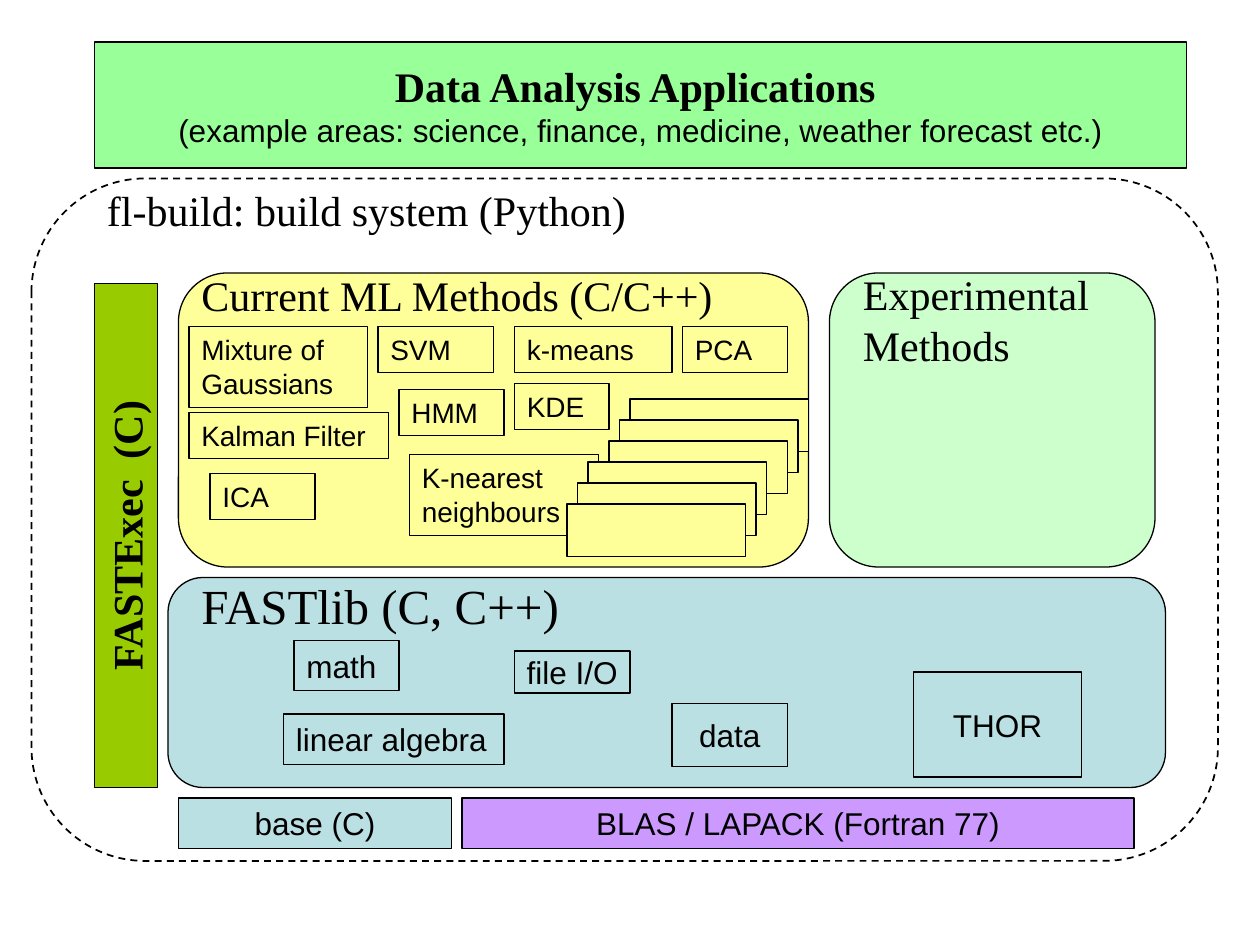
from lxml import etree
from pptx import Presentation, util as u
from pptx.dml.color import RGBColor
from pptx.enum import dml, shapes, text
from pptx.oxml.ns import qn

BLACK = RGBColor(0x00, 0x00, 0x00)
BLUE = RGBColor(0xBB, 0xE0, 0xE3)
YELLOW = RGBColor(0xFF, 0xFF, 0x99)
MINT = RGBColor(0xCC, 0xFF, 0xCC)
GREEN = RGBColor(0x99, 0xFF, 0x99)
OLIVE = RGBColor(0x99, 0xCC, 0x00)
PURPLE = RGBColor(0xCC, 0x99, 0xFF)

CELL = u.Inches(1) / 12
KIND = shapes.MSO_SHAPE
LEFT, CENTER = text.PP_ALIGN.LEFT, text.PP_ALIGN.CENTER
TOP, MIDDLE = text.MSO_ANCHOR.TOP, text.MSO_ANCHOR.MIDDLE
SERIF, SANS = "Times New Roman", "Arial"
INSET = {"margin_left": u.Inches(0.1), "margin_right": u.Inches(0.1),
         "margin_top": u.Inches(0.05), "margin_bottom": u.Inches(0.05)}


def put(item, **form):
    """Set each attribute of an item from the format values."""
    for name, value in form.items():
        setattr(item, name, value)


def place(box, x, y, w, h):
    """Turn cells relative to a box into slide lengths."""
    return [u.Emu(round(n * CELL)) for n in (box[0] + x, box[1] + y, w, h)]


def write(frame, lines, align=LEFT, anchor=TOP, wrap=True):
    """Fill a text frame with lines of (words, size, font, bold)."""
    put(frame, word_wrap=wrap, auto_size=text.MSO_AUTO_SIZE.NONE,
        vertical_anchor=anchor, **INSET)
    for i, (words, size, font, bold) in enumerate(lines):
        para = frame.add_paragraph() if i else frame.paragraphs[0]
        para.alignment = align
        run = para.add_run()
        run.text = words
        put(run.font, size=u.Pt(size), name=font, bold=bold)
        run.font.color.rgb = BLACK


def paint(shape, fill, width=0.75):
    """Give a shape its fill and a black line."""
    if fill is None:
        shape.fill.background()
    else:
        shape.fill.solid()
        shape.fill.fore_color.rgb = fill
    shape.line.color.rgb = BLACK
    shape.line.width = u.Pt(width)


def block(slide, box, cells, fill, kind=KIND.RECTANGLE, width=0.75):
    """Draw an outlined shape at cells of a box."""
    shape = slide.shapes.add_shape(kind, *place(box, *cells))
    shape.shadow.inherit = False
    paint(shape, fill, width)
    return shape


def panel(slide, box, fill, width=0.75):
    """Draw a rounded panel that covers a box."""
    return block(slide, box, (0, 0, *box[2:]), fill, KIND.ROUNDED_RECTANGLE, width)


def label(slide, box, cells, words, size):
    """Write a serif heading at cells of a box."""
    area = slide.shapes.add_textbox(*place(box, *cells))
    write(area.text_frame, [(words, size, SERIF, False)])


def apps(slide, box):
    """Shape the title into the applications banner."""
    title = slide.shapes.title
    put(title, **dict(zip(("left", "top", "width", "height"),
                          place(box, 0, 0, *box[2:]))))
    geom = etree.SubElement(title._element.spPr, qn("a:prstGeom"),
                            prst="flowChartAlternateProcess")
    etree.SubElement(geom, qn("a:avLst"))
    paint(title, GREEN)
    areas = "(example areas: science, finance, medicine, weather forecast etc.)"
    write(title.text_frame, [("Data Analysis Applications ", 24, SERIF, True),
                             (areas, 18, SANS, False)], CENTER, MIDDLE, False)


def system(slide, box):
    """Draw the dashed build system frame and its heading."""
    frame = panel(slide, box, None, 1)
    frame.line.dash_style = dml.MSO_LINE.DASH
    label(slide, box, (6, 0, 52, 10.8), "fl-build: build system (Python)", 24)


def runner(slide, box):
    """Draw the upright bar, turned about the centre of its box."""
    w, h = box[2:]
    bar = block(slide, box, ((w - h) / 2, (h - w) / 2, h, w), OLIVE)
    bar.rotation = 270
    write(bar.text_frame, [("FASTExec  (C)", 24, SERIF, True)], CENTER)


def methods(slide, box):
    """Draw the current methods with their chips and a stack of cards."""
    panel(slide, box, YELLOW)
    label(slide, box, (1, -0.9, 54, 10.8), "Current ML Methods (C/C++)", 24)
    one, two = 4.4, 7.7
    chips = [("Mixture of Gaussians", 1, 5.1, 17, two), ("SVM", 19, 5.1, 11, one),
             ("KDE", 32, 10.5, 9, one), ("k-means", 32, 5.1, 15, one),
             ("K-nearest neighbours", 22, 17.3, 18, two), ("HMM", 21, 11.1, 10, one),
             ("Kalman Filter", 1, 13.3, 19, one), ("ICA", 3, 19.1, 10, one),
             ("PCA", 48, 5.1, 10, one)]
    for words, *cells in chips:
        chip = block(slide, box, cells, YELLOW)
        write(chip.text_frame, [(words, 16, SANS, False)])
    for i in range(6):
        block(slide, box, (43 - i - (i > 2), 12 + 2 * i, 17, 5), YELLOW)


def trials(slide, box):
    """Draw the panel of experimental methods."""
    panel(slide, box, MINT)
    label(slide, box, (2, -1, 33, 10.8), "Experimental Methods", 24)


def library(slide, box):
    """Draw the library panel with its modules."""
    panel(slide, box, BLUE)
    label(slide, box, (2, -0.8, 38, 6.8), "FASTlib (C, C++)", 28)
    parts = [("math", 12, 6, 10, 4.8, False), ("linear algebra", 11, 13, 21, 4.8, False),
             ("data", 48, 12, 11, 6, True), ("file I/O", 33, 7, 11, 4, True),
             ("THOR", 71, 9, 16, 10, True)]
    for words, *cells, mid in parts:
        part = block(slide, box, cells, BLUE)
        form = (CENTER, MIDDLE, False) if mid else (LEFT, TOP, True)
        write(part.text_frame, [(words, 18, SANS, False)], *form)


def base(slide, box):
    """Draw the two foundation bars side by side."""
    for words, x, w, fill in (("base (C)", 0, 26, BLUE),
                              ("BLAS / LAPACK (Fortran 77)", 27, 64, PURPLE)):
        bar = block(slide, box, (x, 0, w, box[3]), fill)
        write(bar.text_frame, [(words, 18, SANS, False)], CENTER)


def main():
    """Build the slide on a grid of 120 by 90 cells."""
    deck = Presentation()
    put(deck, slide_width=u.Inches(10), slide_height=u.Inches(7.5))
    slide = deck.slides.add_slide(deck.slide_layouts[5])
    regions = [(apps, (9, 4, 104, 12)), (system, (3, 17, 113, 65)),
               (library, (16, 55, 95, 20)), (runner, (9, 27, 6, 48)),
               (methods, (17, 26, 60, 28)), (trials, (79, 26, 31, 28)),
               (base, (17, 76, 91, 4.8))]
    for draw, box in regions:
        draw(slide, box)
    deck.save("out.pptx")


if __name__ == "__main__":
    main()
